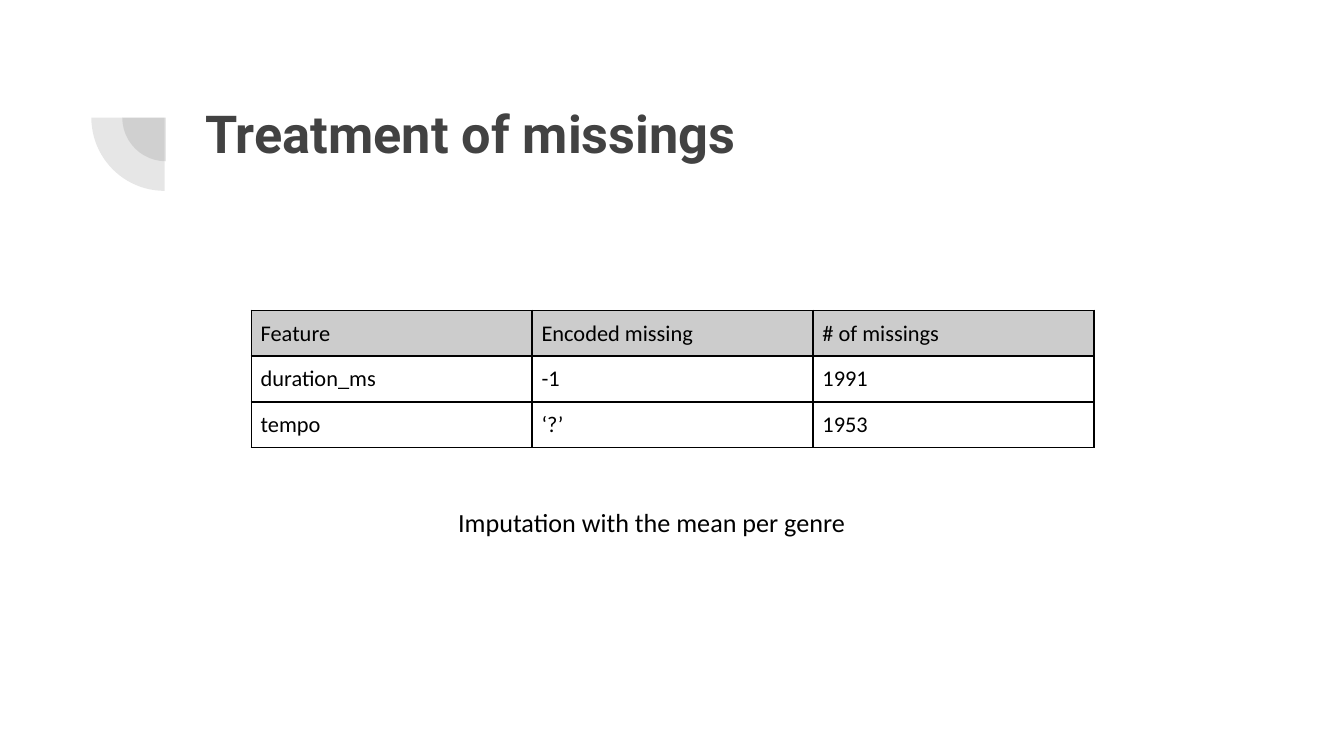
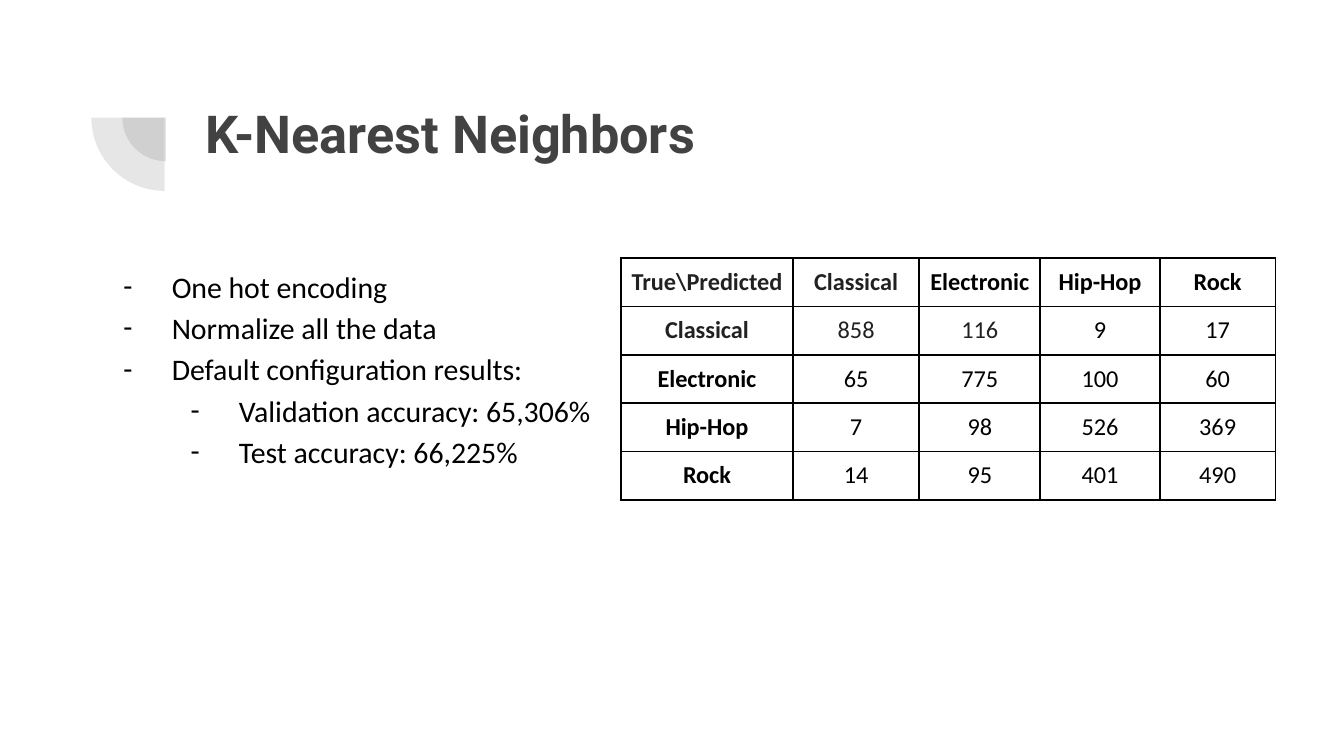
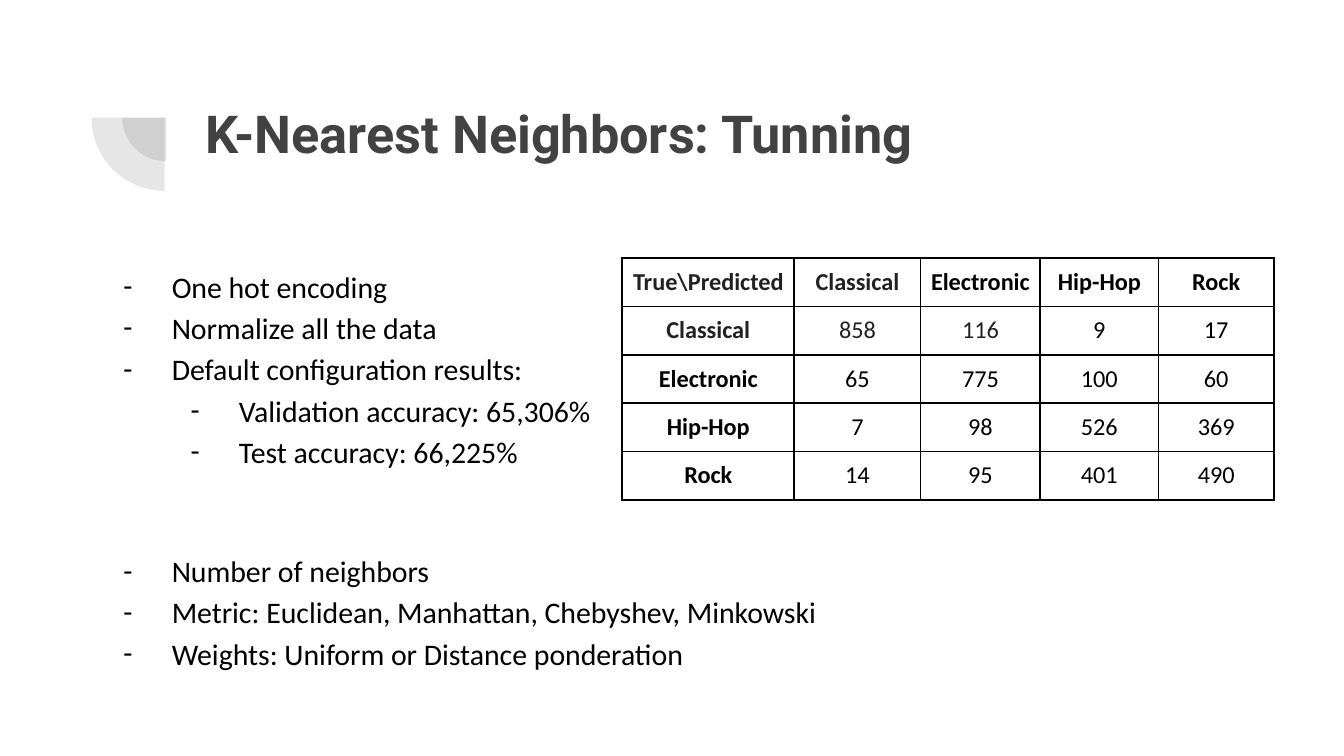
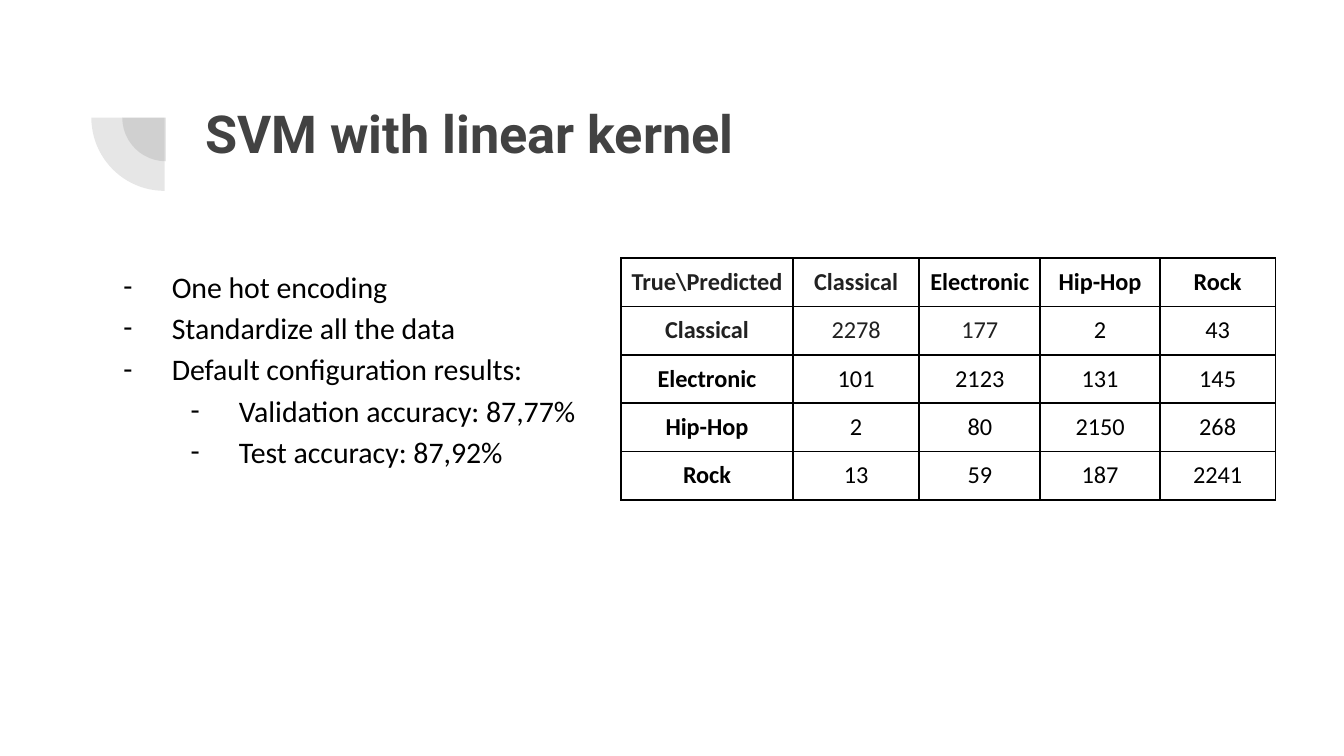
from dataclasses import dataclass

from lxml import etree
from pptx import Presentation
from pptx.dml.color import RGBColor
from pptx.enum import shapes, text
from pptx.oxml import ns
from pptx.util import Inches, Pt


@dataclass(frozen=True)
class Theme:
    accent: str = "424242"
    ink: str = "000000"
    soft_ink: str = "212121"
    header_fill: str = "CCCCCC"
    background: str = "FFFFFF"
    title_font: str = "Roboto"
    body_font: str = "Calibri"
    title_size: int = 28
    body_size: int = 16
    note_size: int = 14
    feature_size: int = 12
    matrix_size: int = 13


def add_xml(parent, tag, **attributes):
    return etree.SubElement(parent, ns.qn(tag), attributes)


class DeckBuilder:
    def __init__(self, theme):
        self.theme = theme
        self.deck = Presentation()
        self.deck.slide_width = Inches(10)
        self.deck.slide_height = Inches(10) * 9 // 16
        self.page = None

    def new_page(self, title):
        self.page = self.deck.slides.add_slide(self.deck.slide_layouts[6])
        fill = self.page.background.fill
        fill.solid()
        fill.fore_color.rgb = RGBColor.from_string(self.theme.background)
        self.quarter_disc(0.91, 0.55, 0.65)
        self.quarter_disc(0.68, 0.33, 1.09)
        para = self.text_frame(1.43, 0.65, 7.69, 1.09).paragraphs[0]
        para.text = title
        self.style(para, self.theme.title_size, self.theme.accent,
                   bold=True, name=self.theme.title_font)

    def quarter_disc(self, left, top, size):
        disc = self.page.shapes.add_shape(
            shapes.MSO_SHAPE.PIE, Inches(left), Inches(top), Inches(size), Inches(size))
        disc.adjustments[0], disc.adjustments[1] = 108, 162  # 180 and 270 degrees
        disc.rotation = 270
        disc.shadow.inherit = False
        disc.line.fill.background()
        disc.fill.solid()
        disc.fill.fore_color.rgb = RGBColor.from_string(self.theme.accent)
        color = disc.fill._xPr.find(".//" + ns.qn("a:srgbClr"))
        add_xml(color, "a:alpha", val="13000")

    def text_frame(self, left, top, width, height):
        box = self.page.shapes.add_textbox(
            Inches(left), Inches(top), Inches(width), Inches(height))
        frame = box.text_frame
        frame.word_wrap = True
        frame.margin_left = frame.margin_right = Inches(0.1)
        frame.margin_top = frame.margin_bottom = Inches(0.1)
        return frame

    def style(self, para, size, color=None, bold=False, name=None):
        font = para.font
        font.name = name or self.theme.body_font
        font.size, font.bold = Pt(size), bold
        font.color.rgb = RGBColor.from_string(color or self.theme.ink)

    def note(self, words, left, top, width, height):
        para = self.text_frame(left, top, width, height).paragraphs[0]
        para.text = words
        self.style(para, self.theme.note_size)

    def bullets(self, groups):
        """Each group is a list of (level, words); a wide gap parts the groups."""
        frame = self.text_frame(0.68, 1.86, 8.64, 3.37)
        para = frame.paragraphs[0]
        for group_index, group in enumerate(groups):
            for item_index, (level, words) in enumerate(group):
                if group_index or item_index:
                    para = frame.add_paragraph()
                para.text = words
                para.level = level
                para.alignment = text.PP_ALIGN.JUSTIFY
                para.line_spacing = 1.15
                gap = 0 if item_index else 42 if group_index else 10
                para.space_before = Pt(gap)
                self.style(para, self.theme.body_size)
                self.dash(para, 0.5 * (level + 1))

    def dash(self, para, indent):
        props = para._p.get_or_add_pPr()
        props.set("marL", str(Inches(indent)))
        props.set("indent", str(Inches(-0.36)))
        color = etree.Element(ns.qn("a:buClr"))
        add_xml(color, "a:srgbClr", val=self.theme.ink)
        size = etree.Element(ns.qn("a:buSzPts"), val=str(self.theme.body_size * 100))
        font = etree.Element(ns.qn("a:buFont"), typeface=self.theme.body_font)
        bullet = etree.Element(ns.qn("a:buChar"), char="-")
        defaults = props.find(ns.qn("a:defRPr"))
        for part in (color, size, font, bullet):
            defaults.addprevious(part)

    def table(self, rows, left, top, widths, row_height, style_cell):
        frame = self.page.shapes.add_table(
            len(rows), len(widths), Inches(left), Inches(top),
            Inches(sum(widths)), Inches(row_height * len(rows)))
        table = frame.table
        table.first_row = table.horz_banding = False
        for column, width in zip(table.columns, widths):
            column.width = Inches(width)
        for row_index, row in enumerate(rows):
            table.rows[row_index].height = Inches(row_height)
            for column_index, value in enumerate(row):
                cell = table.cell(row_index, column_index)
                cell.text = str(value)
                cell.margin_left = cell.margin_right = Inches(0.07)
                cell.margin_top = cell.margin_bottom = Inches(0.07)
                self.borders(cell)
                cell.fill.background()
                style_cell(cell, row_index, column_index)

    def borders(self, cell):
        props = cell._tc.get_or_add_tcPr()
        for side in "LRTB":
            line = add_xml(props, f"a:ln{side}", w=str(Pt(1)))
            add_xml(add_xml(line, "a:solidFill"), "a:srgbClr", val=self.theme.ink)

    def feature_cell(self, cell, row, column):
        self.style(cell.text_frame.paragraphs[0], self.theme.feature_size)
        if row == 0:
            cell.fill.solid()
            cell.fill.fore_color.rgb = RGBColor.from_string(self.theme.header_fill)

    def matrix_cell(self, cell, row, column):
        para = cell.text_frame.paragraphs[0]
        para.alignment = text.PP_ALIGN.CENTER
        soft = (row < 2 and column < 2) or (row, column) == (1, 2)
        self.style(para, self.theme.matrix_size,
                   self.theme.soft_ink if soft else self.theme.ink,
                   bold=row == 0 or column == 0)

    def confusion_matrix(self, counts, left=4.62, widths=(1.28, 0.94, 0.9, 0.89, 0.86)):
        rows = [["True\\Predicted", *GENRES]]
        rows += [[genre, *values] for genre, values in zip(GENRES, counts)]
        self.table(rows, left, 1.92, widths, 0.36, self.matrix_cell)


# Content
GENRES = ["Classical", "Electronic", "Hip-Hop", "Rock"]
FEATURES = [
    ["Feature", "Encoded missing", "# of missings"],
    ["duration_ms", "-1", "1991"],
    ["tempo", "‘?’", "1953"],
]
KNN_COUNTS = [[858, 116, 9, 17], [65, 775, 100, 60], [7, 98, 526, 369], [14, 95, 401, 490]]
SVM_COUNTS = [[2278, 177, 2, 43], [101, 2123, 131, 145],
              [2, 80, 2150, 268], [13, 59, 187, 2241]]
TUNING = [
    (0, "Number of neighbors"),
    (0, "Metric: Euclidean, Manhattan, Chebyshev, Minkowski"),
    (0, "Weights: Uniform or Distance ponderation"),
]


def results(scaling, validation, test):
    return [
        (0, "One hot encoding"),
        (0, f"{scaling} all the data"),
        (0, "Default configuration results:"),
        (1, f"Validation accuracy: {validation}%"),
        (1, f"Test accuracy: {test}%"),
    ]


def main():
    builder = DeckBuilder(Theme())
    knn_results = results("Normalize", "65,306", "66,225")

    # Missing values
    builder.new_page("Treatment of missings")
    builder.table(FEATURES, 1.87, 2.31, [2.09] * 3, 0.34, builder.feature_cell)
    builder.note("Imputation with the mean per genre", 3.31, 3.67, 3.38, 0.44)

    # Nearest neighbors
    builder.new_page("K-Nearest Neighbors")
    builder.bullets([knn_results])
    builder.confusion_matrix(KNN_COUNTS)

    # Nearest neighbors, tuned parameters
    builder.new_page("K-Nearest Neighbors: Tunning")
    builder.bullets([knn_results, TUNING])
    builder.confusion_matrix(KNN_COUNTS, 4.63, (1.28, 0.94, 0.89, 0.88, 0.86))

    # Support vector machine
    builder.new_page("SVM with linear kernel")
    builder.bullets([results("Standardize", "87,77", "87,92")])
    builder.confusion_matrix(SVM_COUNTS)

    builder.deck.save("out.pptx")


if __name__ == "__main__":
    main()
